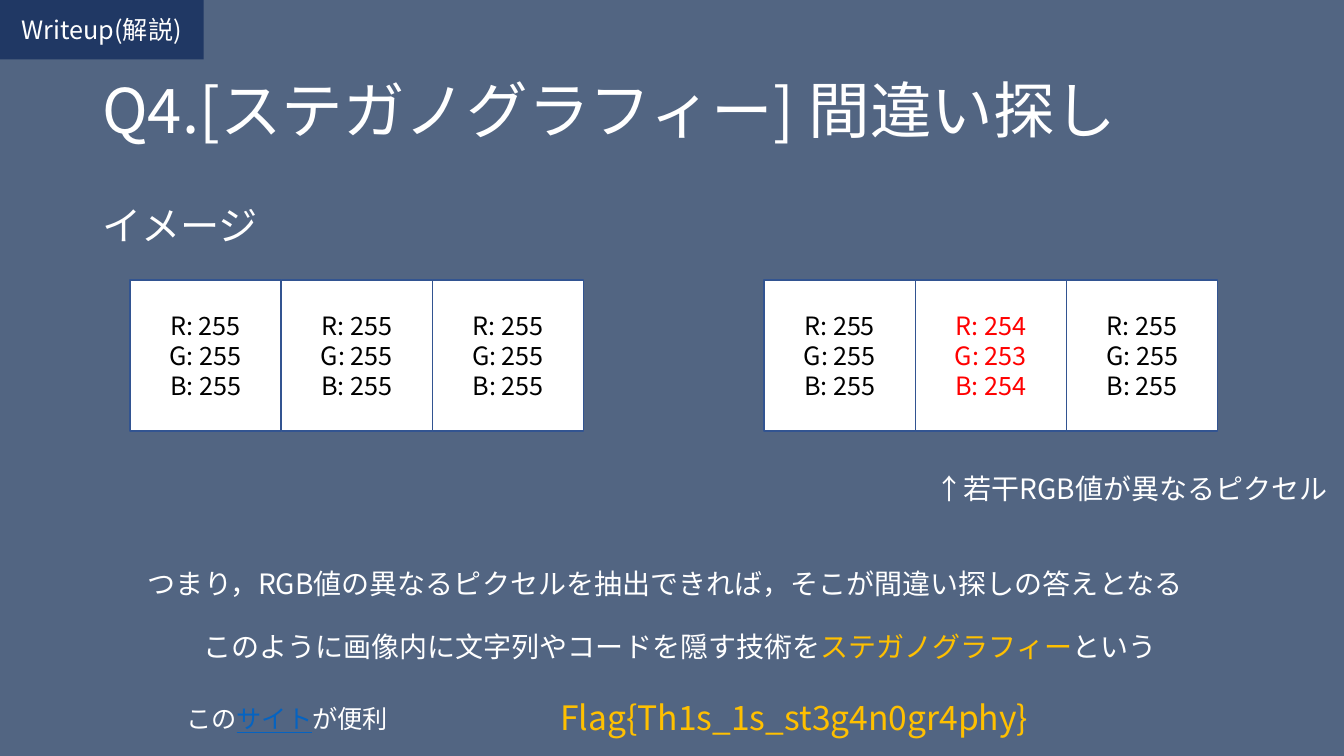
import pptx
import pptx.util
import pptx.dml.color
import pptx.enum.shapes
import pptx.enum.text
import pptx.oxml
import pptx.oxml.ns
from dataclasses import dataclass

Pt = pptx.util.Pt
ANCHOR = pptx.enum.text.MSO_ANCHOR
ALIGN = pptx.enum.text.PP_ALIGN
RECTANGLE = pptx.enum.shapes.MSO_SHAPE.RECTANGLE


@dataclass(frozen=True)
class Theme:
    font: str = "Noto Sans CJK JP"
    background: str = "526582"
    badge: str = "203864"
    white: str = "FFFFFF"
    black: str = "000000"
    pixel_line: str = "325491"
    changed: str = "FF0000"
    accent: str = "FFC000"
    link: str = "0563C1"
    title_size: int = 44
    heading_size: int = 28
    flag_size: int = 24
    body_size: int = 20
    small_size: int = 18


theme = Theme()


def rgb(color):
    return pptx.dml.color.RGBColor.from_string(color)


def write(shape, lines, size, anchor=ANCHOR.TOP, align=ALIGN.LEFT, wrap=True):
    """Fill a shape with paragraphs, each a list of (text, color) runs."""
    frame = shape.text_frame
    frame.word_wrap = wrap
    frame.vertical_anchor = anchor
    for index, runs in enumerate(lines):
        paragraph = frame.paragraphs[0] if index == 0 else frame.add_paragraph()
        paragraph.alignment = align
        for text, color in runs:
            run = paragraph.add_run()
            run.text = text
            run.font.name = theme.font
            run.font.size = Pt(size)
            run.font.color.rgb = rgb(color)
            run.font.underline = True if color == theme.link else None
            east_asian = pptx.oxml.parse_xml(
                f'<a:ea {pptx.oxml.ns.nsdecls("a")} typeface="{theme.font}"/>')
            run.font._element.find(pptx.oxml.ns.qn("a:latin")).addnext(east_asian)


presentation = pptx.Presentation()
presentation.slide_width = Pt(960)
presentation.slide_height = Pt(540)
slide = presentation.slides.add_slide(presentation.slide_layouts[6])
slide.background.fill.solid()
slide.background.fill.fore_color.rgb = rgb(theme.background)

# Title and heading
title = slide.shapes.add_textbox(Pt(66), Pt(28.75), Pt(828), Pt(104.4))
write(title, [[("Q4.[ステガノグラフィー] 間違い探し", theme.white)]],
      theme.title_size, ANCHOR.MIDDLE)
heading = slide.shapes.add_textbox(Pt(66), Pt(143.75), Pt(828), Pt(45))
write(heading, [[("イメージ", theme.white)]], theme.heading_size)
for shape in (title, heading):
    shape.text_frame.paragraphs[0].line_spacing = 0.9
heading.text_frame.paragraphs[0].space_before = Pt(10)

# Corner badge
badge = slide.shapes.add_shape(RECTANGLE, Pt(0), Pt(0), Pt(145.4), Pt(42.5))
badge.shadow.inherit = False
badge.fill.solid()
badge.fill.fore_color.rgb = rgb(theme.badge)
badge.line.fill.background()
write(badge, [[("Writeup(解説)", theme.white)]], theme.small_size,
      ANCHOR.MIDDLE, ALIGN.CENTER)

# Two rows of three pixels; one pixel of the second row differs
pixel_side = 108
plain = (255, 255, 255)
altered = (254, 253, 254)
for row_left, pixels in ((92.9, (plain, plain, plain)),
                         (545.8, (plain, altered, plain))):
    for column, values in enumerate(pixels):
        pixel = slide.shapes.add_shape(
            RECTANGLE, Pt(row_left + column * pixel_side), Pt(200),
            Pt(pixel_side), Pt(pixel_side))
        pixel.shadow.inherit = False
        pixel.fill.solid()
        pixel.fill.fore_color.rgb = rgb(theme.white)
        pixel.line.color.rgb = rgb(theme.pixel_line)
        pixel.line.width = Pt(1)
        color = theme.changed if values == altered else theme.black
        lines = [[(f"{channel}: {value}", color)]
                 for channel, value in zip("RGB", values)]
        write(pixel, lines, theme.small_size, ANCHOR.MIDDLE, ALIGN.CENTER)

# Notes: left, top, width, height, size, wrap, runs
notes = (
    (661, 333.4, 299, 31.5, theme.body_size, True,
     [("↑若干RGB値が異なるピクセル", theme.white)]),
    (98.6, 401, 763, 31.5, theme.body_size, False,
     [("つまり，RGB値の異なるピクセルを抽出できれば，そこが間違い探しの答えとなる", theme.white)]),
    (138.2, 446.4, 701, 31.5, theme.body_size, False,
     [("このように画像内に文字列やコードを隠す技術を", theme.white),
      ("ステガノグラフィー", theme.accent), ("という", theme.white)]),
    (126, 499, 160, 29, theme.small_size, False,
     [("この", theme.white), ("サイト", theme.link), ("が便利", theme.white)]),
    (393.1, 494.6, 350.6, 36, theme.flag_size, False,
     [("Flag{Th1s_1s_st3g4n0gr4phy}", theme.accent)]),
)
for left, top, width, height, size, wrap, runs in notes:
    note = slide.shapes.add_textbox(Pt(left), Pt(top), Pt(width), Pt(height))
    write(note, [runs], size, wrap=wrap)

presentation.save("out.pptx")
